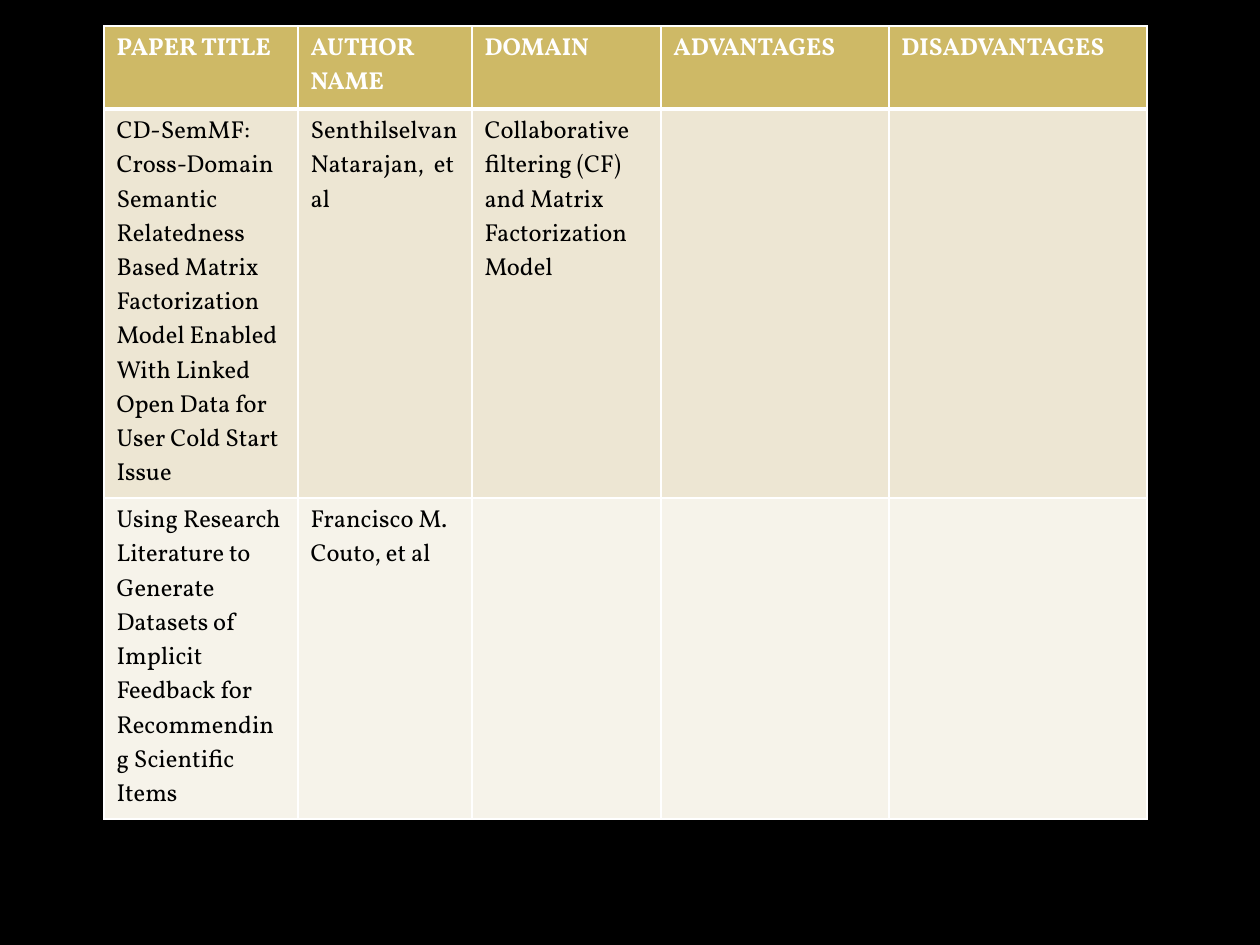
from dataclasses import dataclass

from lxml import etree
from pptx import Presentation
from pptx.dml.color import RGBColor
from pptx.oxml.ns import qn
from pptx.slide import Slide
from pptx.util import Pt

EMU_PER_PX = 914400 // 126
EMU_PER_POINT = 12700
COLUMN_WIDTHS = [194, 174, 189, 228, 258]
ROW_HEIGHTS = [83, 389, 321]
ROW_FILLS = ["CEB966", "EDE6D3", "F6F3EA"]
PAPERS = [
    ["PAPER TITLE", "AUTHOR NAME", "DOMAIN", "ADVANTAGES", "DISADVANTAGES"],
    [
        "CD-SemMF: Cross-Domain Semantic Relatedness Based Matrix Factorization "
        "Model Enabled With Linked Open Data for User Cold Start Issue",
        "Senthilselvan Natarajan,  et al",
        "Collaborative filtering (CF) and Matrix Factorization Model",
        "",
        "",
    ],
    [
        "Using Research Literature to Generate Datasets of Implicit Feedback "
        "for Recommending Scientific Items",
        "Francisco M. Couto, et al",
        "",
        "",
        "",
    ],
]


def px(length):
    return length * EMU_PER_PX


def color(value):
    return RGBColor.from_string(value)


@dataclass
class SlideBuilder:
    """Draws styled elements on the current slide."""

    slide: Slide
    font: str = "Vollkorn"
    size: int = 14
    border: str = "FFFFFF"

    def background(self, fill):
        self.slide.background.fill.solid()
        self.slide.background.fill.fore_color.rgb = color(fill)

    def table(self, left, top, widths, heights, rows, fills):
        frame = self.slide.shapes.add_table(
            len(rows), len(widths), px(left), px(top), px(sum(widths)), px(sum(heights))
        )
        table = frame.table
        for column, width in zip(table.columns, widths):
            column.width = px(width)
        for index, (row, height) in enumerate(zip(table.rows, heights)):
            row.height = px(height)
            is_header = index == 0
            top_width = 3 if index == 1 else 1
            bottom_width = 3 if is_header else 1
            for cell, text in zip(row.cells, rows[index]):
                self.borders(cell, top_width, bottom_width)
                cell.fill.solid()
                cell.fill.fore_color.rgb = color(fills[index])
                if text:
                    self.text(cell, text, "FFFFFF" if is_header else "000000", is_header)

    def borders(self, cell, top_width, bottom_width):
        properties = cell._tc.get_or_add_tcPr()
        widths = {"lnL": 1, "lnR": 1, "lnT": top_width, "lnB": bottom_width}
        for side, width in widths.items():
            line = etree.SubElement(properties, qn(f"a:{side}"), w=str(width * EMU_PER_POINT))
            fill = etree.SubElement(line, qn("a:solidFill"))
            etree.SubElement(fill, qn("a:srgbClr"), val=self.border)

    def text(self, cell, text, text_color, bold):
        run = cell.text_frame.paragraphs[0].add_run()
        run.text = text
        run.font.name = self.font
        run.font.size = Pt(self.size)
        run.font.bold = bold
        run.font.color.rgb = color(text_color)


def main():
    presentation = Presentation()
    presentation.slide_width = px(1260)
    presentation.slide_height = px(945)
    builder = SlideBuilder(presentation.slides.add_slide(presentation.slide_layouts[6]))
    builder.background("000000")
    builder.table(104, 26, COLUMN_WIDTHS, ROW_HEIGHTS, PAPERS, ROW_FILLS)
    presentation.save("out.pptx")


if __name__ == "__main__":
    main()
